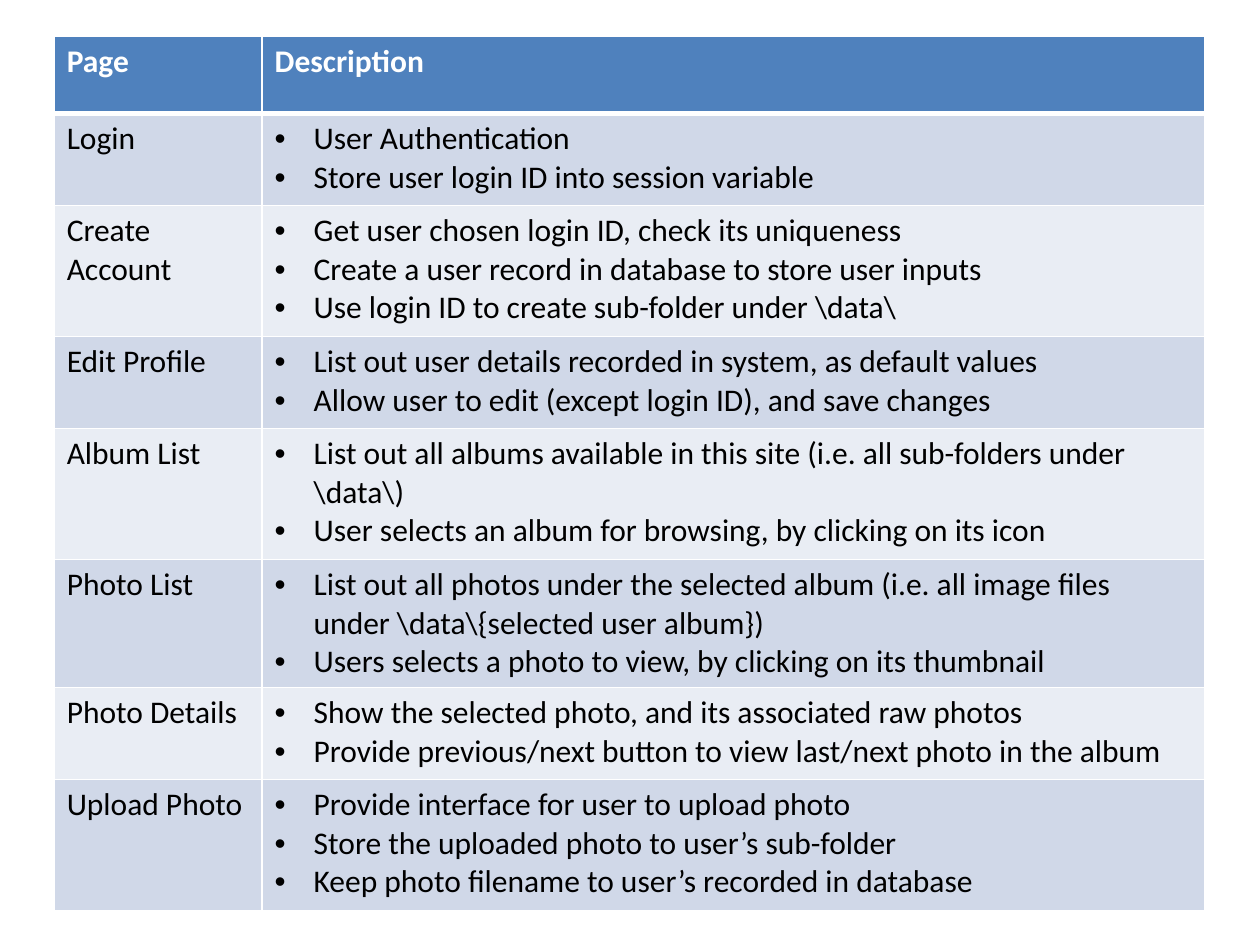
from lxml import etree
from pptx import Presentation
from pptx import util as u
from pptx.dml.color import RGBColor
from pptx.oxml import ns

COLORS = {
    "header": "4F81BD",
    "odd": "D0D8E8",
    "even": "E9EDF4",
    "border": "FFFFFF",
    "header_text": "FFFFFF",
    "body_text": "000000",
}
FONT = "Calibri"
HEADER = ("Page", "Description")
PAGES = [
    ("Login", ["User Authentication", "Store user login ID into session variable"]),
    ("Create Account", [
        "Get user chosen login ID, check its uniqueness",
        "Create a user record in database to store user inputs",
        "Use login ID to create sub-folder under \\data\\",
    ]),
    ("Edit Profile", [
        "List out user details recorded in system, as default values",
        "Allow user to edit (except login ID), and save changes",
    ]),
    ("Album List", [
        "List out all albums available in this site (i.e. all sub-folders under \\data\\)",
        "User selects an album for browsing, by clicking on its icon",
    ]),
    ("Photo List", [
        "List out all photos under the selected album (i.e. all image files under \\data\\{selected user album})",
        "Users selects a photo to view, by clicking on its thumbnail",
    ]),
    ("Photo Details", [
        "Show the selected photo, and its associated raw photos",
        "Provide previous/next button to view last/next photo in the album",
    ]),
    ("Upload Photo", [
        "Provide interface for user to upload photo",
        "Store the uploaded photo to user’s sub-folder",
        "Keep photo filename to user’s recorded in database",
    ]),
]
COLUMN_WIDTHS = (1.65, 7.48)
ROW_HEIGHTS = (0.61, 0.73, 1.04, 0.73, 1.04, 1.01, 0.73, 1.04)
LEFT, TOP = 0.43, 0.29
INDENT = 0.31


def add_borders(cell, row_index):
    properties = cell._tc.get_or_add_tcPr()
    widths = {"lnL": 1, "lnR": 1, "lnT": 3 if row_index == 1 else 1, "lnB": 3 if row_index == 0 else 1}
    for tag, width in widths.items():
        line = etree.SubElement(properties, ns.qn(f"a:{tag}"), w=str(u.Pt(width)))
        fill = etree.SubElement(line, ns.qn("a:solidFill"))
        etree.SubElement(fill, ns.qn("a:srgbClr"), val=COLORS["border"])


def add_bullet(paragraph):
    properties = paragraph._p.get_or_add_pPr()
    properties.set("marL", str(u.Inches(INDENT)))
    properties.set("indent", str(-u.Inches(INDENT)))
    etree.SubElement(properties, ns.qn("a:buFont"), typeface="Arial")
    etree.SubElement(properties, ns.qn("a:buChar"), char="•")


def fill_cell(cell, row_index, lines, bulleted):
    is_header = row_index == 0
    band = "header" if is_header else "odd" if row_index % 2 else "even"
    add_borders(cell, row_index)
    cell.fill.solid()
    cell.fill.fore_color.rgb = RGBColor.from_string(COLORS[band])
    cell.text = "\n".join(lines)
    for paragraph in cell.text_frame.paragraphs:
        if bulleted:
            add_bullet(paragraph)
        font = paragraph.font
        font.name = FONT
        font.size = u.Pt(18)
        font.bold = is_header
        font.color.rgb = RGBColor.from_string(COLORS["header_text" if is_header else "body_text"])


def main():
    presentation = Presentation()
    presentation.slide_width = u.Inches(10)
    presentation.slide_height = u.Inches(7.5)
    slide = presentation.slides.add_slide(presentation.slide_layouts[6])

    table = slide.shapes.add_table(
        len(ROW_HEIGHTS), len(COLUMN_WIDTHS), u.Inches(LEFT), u.Inches(TOP),
        u.Inches(sum(COLUMN_WIDTHS)), u.Inches(sum(ROW_HEIGHTS)),
    ).table
    for column, width in zip(table.columns, COLUMN_WIDTHS):
        column.width = u.Inches(width)
    for row, height in zip(table.rows, ROW_HEIGHTS):
        row.height = u.Inches(height)

    page_title, description_title = HEADER
    rows = [(page_title, [description_title])] + PAGES
    for row_index, (page, descriptions) in enumerate(rows):
        fill_cell(table.cell(row_index, 0), row_index, [page], False)
        fill_cell(table.cell(row_index, 1), row_index, descriptions, row_index > 0)

    presentation.save("out.pptx")


if __name__ == "__main__":
    main()
